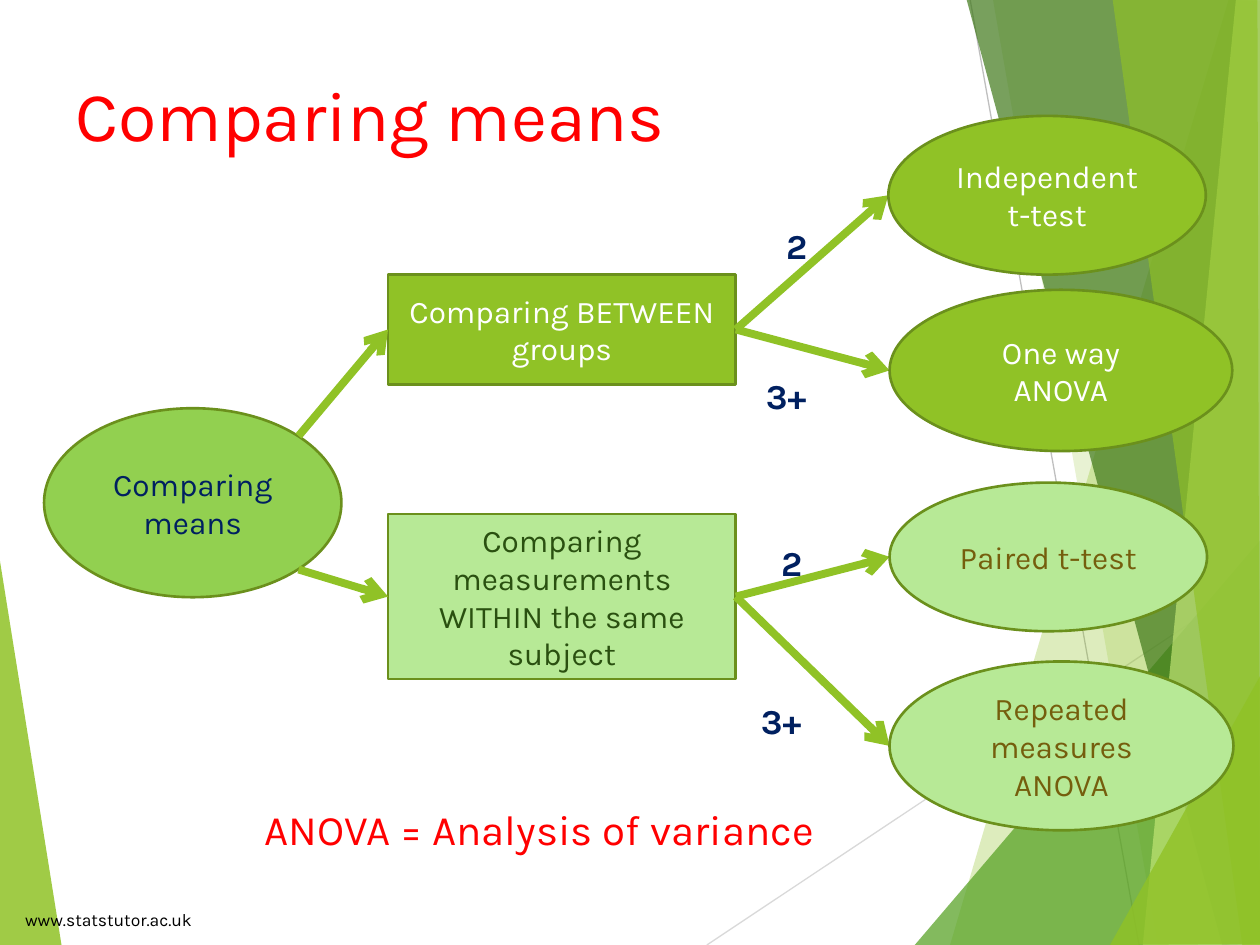
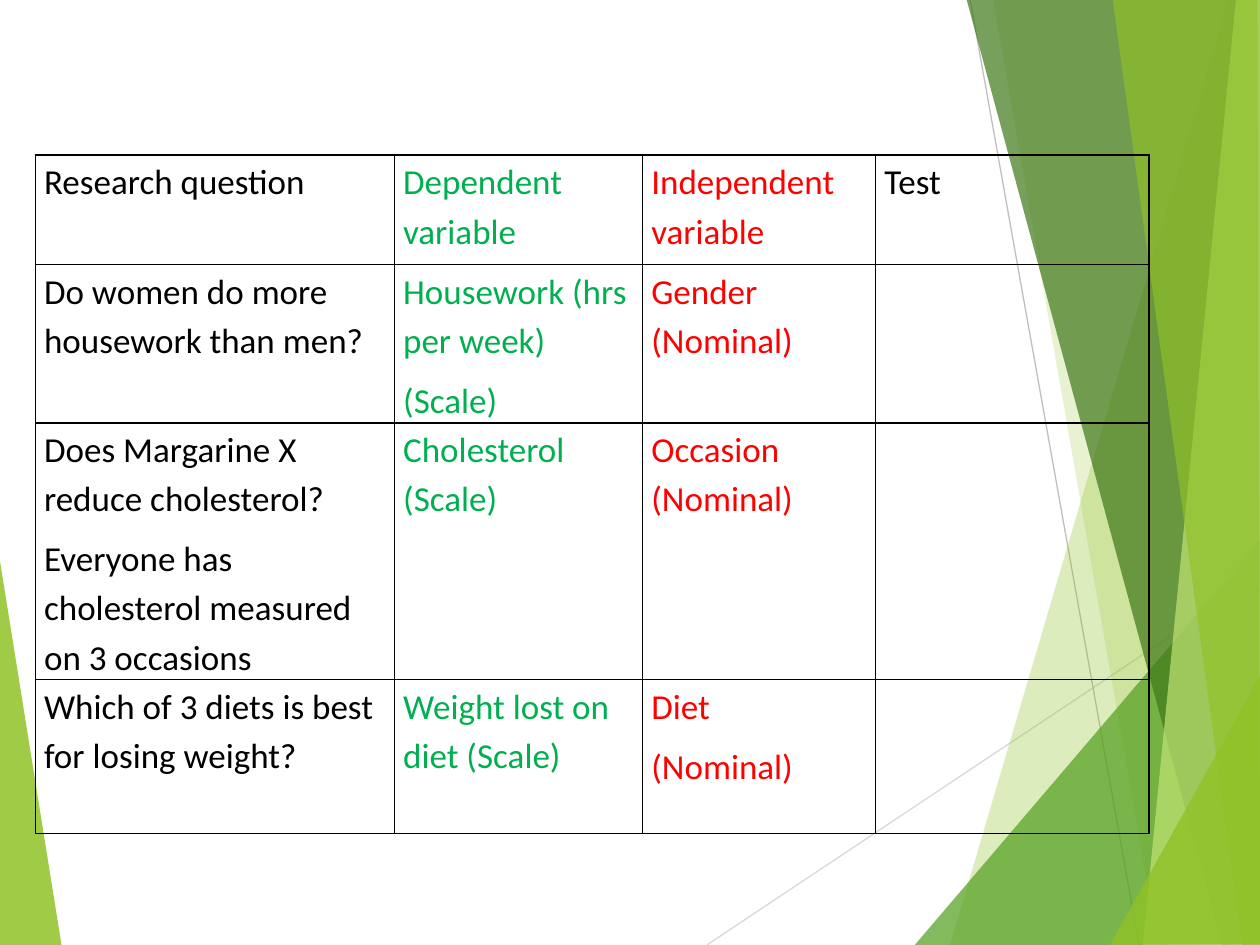
from lxml import etree
from pptx import Presentation
from pptx.dml.color import RGBColor
from pptx.enum.shapes import MSO_CONNECTOR, MSO_SHAPE
from pptx.enum.text import MSO_ANCHOR, MSO_AUTO_SIZE, PP_ALIGN
from pptx.oxml.ns import qn
from pptx.util import Inches, Pt

STRAIGHT = MSO_CONNECTOR.STRAIGHT
OVAL, RECT = MSO_SHAPE.OVAL, MSO_SHAPE.RECTANGLE
TOP, MIDDLE, BOTTOM = MSO_ANCHOR.TOP, MSO_ANCHOR.MIDDLE, MSO_ANCHOR.BOTTOM
LEFT, CENTER, RIGHT = PP_ALIGN.LEFT, PP_ALIGN.CENTER, PP_ALIGN.RIGHT
NO_FIT = MSO_AUTO_SIZE.NONE
TITLE_ONLY, BLANK = 5, 6

GREEN, DARK_GREEN, PALE_GREEN = "90C226", "6B901C", "B7E996"
WHITE, BLACK, RED, NAVY, BROWN = "FFFFFF", "000000", "FF0000", "002060", "755E0D"
DEPENDENT = "00B050"

BACK_BANDS = [(GREEN, 85, [(-0.01, 4.39), (0.49, 7.51), (-0.01, 7.5)])]
BACK_LINES = [("D9D9D9", (5.61, 7.5), (10.01, 4.57)),
              ("BFBFBF", (7.7, 0), (9.04, 7.5))]
FRONT_BANDS = [
    (GREEN, 30, [(9.75, 0), (7.54, 7.5), (10.02, 7.51), (10.01, 0.01)]),
    (GREEN, 20, [(7.88, -0.01), (9.19, 7.5), (10.01, 7.5), (10.01, -0.01)]),
    ("54A021", 72, [(7.26, 7.5), (10, 4.29), (10.01, 7.5)]),
    ("3F7819", 70, [(7.67, -0.01), (9.7, 7.5), (10.01, 7.49), (10.01, -0.01)]),
    ("C0E474", 70, [(9.81, -0.01), (9.07, 7.5), (10.01, 7.5), (10, -0.01)]),
    (GREEN, 65, [(8.83, -0.01), (9.86, 7.5), (10, 7.5), (9.98, -0.01)]),
    (GREEN, 80, [(8.81, 7.5), (10.01, 5.35), (10.01, 7.49)]),
]


def rgb(color):
    return RGBColor.from_string(color)


class Deck:
    font = "Karla"

    def __init__(self):
        self.prs = Presentation()
        self.prs.slide_width, self.prs.slide_height = Inches(10), Inches(7.5)

    def slide(self, layout):
        self.s = self.prs.slides.add_slide(self.prs.slide_layouts[layout])
        for band in BACK_BANDS:
            self.band(*band)
        for color, start, end in BACK_LINES:
            self.line(start, end, color, 0.75)
        for band in FRONT_BANDS:
            self.band(*band)

    def band(self, color, opacity, points):
        (x, y), *rest = [(Inches(a), Inches(b)) for a, b in points]
        builder = self.s.shapes.build_freeform(x, y)
        builder.add_line_segments(rest, close=True)
        sp = builder.convert_to_shape()
        sp.shadow.inherit = False
        sp.line.fill.background()
        sp.fill.solid()
        sp.fill.fore_color.rgb = rgb(color)
        clr = sp._element.spPr.find(qn("a:solidFill"))[0]
        etree.SubElement(clr, qn("a:alpha"), val=str(opacity * 1000))

    def line(self, start, end, color, width, source=None, target=None):
        c = self.s.shapes.add_connector(STRAIGHT, *[Inches(v) for v in start + end])
        if source is not None:
            c.begin_connect(source, 3)
        if target is not None:
            c.end_connect(target, 1)
        c.line.color.rgb = rgb(color)
        c.line.width = Pt(width)
        etree.SubElement(c._element.spPr, qn("a:effectLst"))
        return c

    def arrow(self, start, end, **joins):
        c = self.line(start, end, GREEN, 4.5, **joins)
        ln = c._element.spPr.find(qn("a:ln"))
        etree.SubElement(ln, qn("a:tailEnd"), type="arrow")

    def fill_text(self, tf, paragraphs, align=LEFT, spacing=None, **style):
        for i, text in enumerate(paragraphs):
            p = tf.paragraphs[0] if i == 0 else tf.add_paragraph()
            p.alignment = align
            for name, value in (spacing or {}).items():
                setattr(p, name, value)
            r = p.add_run() if text else p
            if text:
                r.text = text
            look = {"name": self.font, "size": Pt(18), "bold": False, **style}
            color = look.pop("color")
            for name, value in look.items():
                setattr(r.font, name, value)
            r.font.color.rgb = rgb(color)

    def title(self, text, box):
        sp = self.s.shapes.title
        sp.left, sp.top, sp.width, sp.height = [Inches(v) for v in box]
        sp.text_frame.auto_size = NO_FIT
        sp.text_frame.vertical_anchor = TOP
        self.fill_text(sp.text_frame, [text], size=Pt(40), color=RED)

    def text(self, text, box, anchor=TOP, **style):
        sp = self.s.shapes.add_textbox(*[Inches(v) for v in box])
        tf = sp.text_frame
        tf.word_wrap = True
        tf.vertical_anchor = anchor
        self.fill_text(tf, [text], **style)

    def node(self, kind, text, box, fill, color):
        sp = self.s.shapes.add_shape(kind, *[Inches(v) for v in box])
        sp.shadow.inherit = False
        sp.fill.solid()
        sp.fill.fore_color.rgb = rgb(fill)
        sp.line.color.rgb = rgb(DARK_GREEN)
        sp.line.width = Pt(1.5)
        sp.text_frame.word_wrap = True
        sp.text_frame.vertical_anchor = MIDDLE
        self.fill_text(sp.text_frame, [text], align=CENTER, color=color)
        return sp

    def borders(self, cell):
        tcPr = cell._tc.get_or_add_tcPr()
        for side in ("lnL", "lnR", "lnT", "lnB"):
            ln = etree.SubElement(tcPr, qn(f"a:{side}"), w=str(Pt(1)))
            fill = etree.SubElement(ln, qn("a:solidFill"))
            etree.SubElement(fill, qn("a:srgbClr"), val=BLACK)

    def table(self, rows, left, top, widths, heights, colors):
        size = sum(widths), sum(heights)
        frame = self.s.shapes.add_table(len(rows), len(widths), *[Inches(v) for v in (left, top, *size)])
        table = frame.table
        table.first_row = table.horz_banding = False
        for column, width in zip(table.columns, widths):
            column.width = Inches(width)
        for row, height in zip(table.rows, heights):
            row.height = Inches(height)
        margins = {"margin_left": Inches(0.07), "margin_right": Inches(0.07),
                   "margin_top": 0, "margin_bottom": 0}
        spacing = {"line_spacing": 1.15, "space_after": Pt(6)}
        for i, row in enumerate(rows):
            for j, text in enumerate(row):
                cell = table.cell(i, j)
                for name, value in margins.items():
                    setattr(cell, name, value)
                self.borders(cell)
                cell.fill.background()
                self.fill_text(cell.text_frame, text.split("\n"), spacing=spacing,
                               name="Calibri", size=Pt(20), color=colors[j])


def comparing_means(deck):
    deck.slide(TITLE_ONLY)
    deck.title("Comparing means", (0.5, 0.52, 9.3, 1.03))
    deck.node(OVAL, "Comparing means", (0.35, 3.24, 2.36, 1.5), "92D050", NAVY)
    between = deck.node(RECT, "Comparing BETWEEN groups", (3.08, 2.18, 2.76, 0.87), GREEN, WHITE)
    within = deck.node(RECT, "Comparing measurements WITHIN the same subject",
                       (3.08, 4.08, 2.76, 1.31), PALE_GREEN, "2A5010")
    deck.arrow((2.37, 3.46), (3.08, 2.62), target=between)
    deck.arrow((2.37, 4.52), (3.08, 4.74), target=within)

    tests = [
        (between, "Independent t-test", (7.05, 0.92, 2.52, 1.26), GREEN, WHITE, "2", (6.14, 1.73)),
        (between, "One way ANOVA", (7.06, 2.3, 2.72, 1.28), GREEN, WHITE, "3+", (5.98, 2.92)),
        (within, "Paired t-test", (7.06, 3.83, 2.52, 1.18), PALE_GREEN, BROWN, "2", (6.1, 4.25)),
        (within, "Repeated measures ANOVA", (7.06, 5.25, 2.73, 1.34), PALE_GREEN, BROWN,
         "3+", (5.94, 5.5)),
    ]
    for source, test, box, fill, color, groups, place in tests:
        left, top, _, height = box
        deck.arrow((5.84, top), (left, top + height / 2), source=source)
        deck.text(groups, (*place, 0.79, 0.44), size=Pt(20), bold=True, color=NAVY)
        deck.node(OVAL, test, box, fill, color)

    deck.text("ANOVA = Analysis of variance", (2, 6.33, 5.22, 0.5), size=Pt(24), color=RED)
    deck.text("www.statstutor.ac.uk", (0, 7.08, 1.62, 0.35), anchor=BOTTOM,
              align=RIGHT, size=Pt(10), color=BLACK)


def choosing_tests(deck):
    deck.slide(BLANK)
    rows = [
        ("Research question", "Dependent variable", "Independent variable", "Test"),
        ("Do women do more housework than men?", "Housework (hrs per week)\n(Scale)",
         "Gender (Nominal)", ""),
        ("Does Margarine X reduce cholesterol?\nEveryone has cholesterol measured on 3 occasions",
         "Cholesterol (Scale)", "Occasion (Nominal)", ""),
        ("Which of 3 diets is best for losing weight?", "Weight lost on diet (Scale)",
         "Diet\n(Nominal)", ""),
    ]
    deck.table(rows, 0.28, 1.23, [2.85, 1.97, 1.85, 2.17], [0.87, 1.22, 1.95, 1.22],
               [BLACK, DEPENDENT, RED, BLACK])


def main():
    deck = Deck()
    comparing_means(deck)
    choosing_tests(deck)
    deck.prs.save("out.pptx")


if __name__ == "__main__":
    main()
